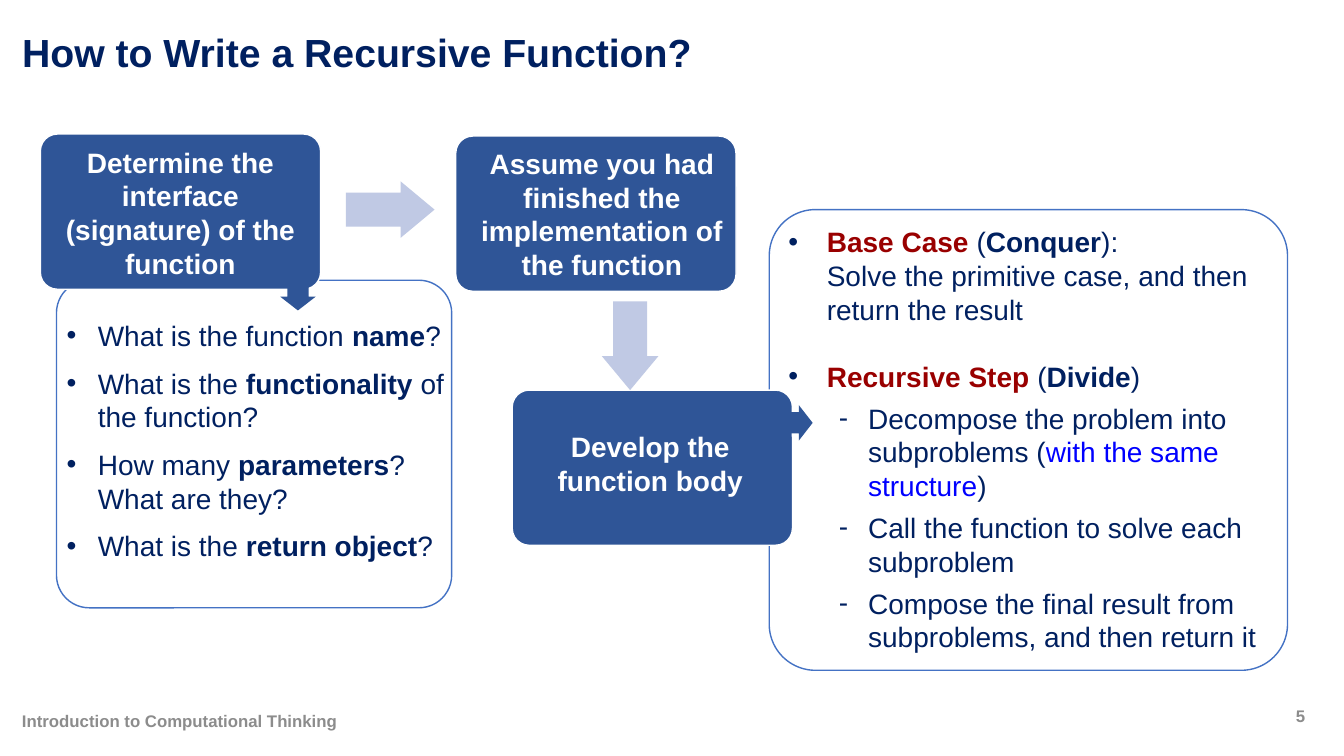
"""Build the slide on how to write a recursive function."""
from lxml.etree import SubElement
from pptx import Presentation
from pptx.dml.color import RGBColor
from pptx.enum.shapes import MSO_SHAPE as Preset
from pptx.enum.text import MSO_ANCHOR as Anchor, MSO_AUTO_SIZE as AutoSize, PP_ALIGN as Align
from pptx.oxml.ns import qn
from pptx.util import Inches, Pt

NAVY, RED, BLUE, WHITE, GRAY = "002060", "990000", "0000FF", "FFFFFF", "8C8C8C"
BOX, PANEL_LINE, PALE = "2F5597", "4472C4", "C0C9E4"
BOX_WIDTH, BOX_HEIGHT = 2.78, 1.54

QUESTIONS = [
    [("What is the function ",), ("name", True), ("?",)],
    [("What is the ",), ("functionality", True), (" of the function?",)],
    [("How many ",), ("parameters", True), ("? What are they?",)],
    [("What is the ",), ("return object", True), ("?",)],
]
BASE_CASE = [("Base Case ", True, RED), ("(",), ("Conquer", True),
             ("): \nSolve the primitive case, and then return the result",)]
RECURSIVE_STEP = [("Recursive Step ", True, RED), ("(",), ("Divide", True), (")",)]
SUBSTEPS = [
    [("Decompose the problem into subproblems (",),
     ("with the same structure", False, BLUE), (")",)],
    [("Call the function to solve each subproblem",)],
    [("Compose the final result from subproblems, and then return it",)],
]


def color(value):
    """Turn a hex string into a colour."""
    return RGBColor.from_string(value)


def style_font(font, size, value, bold=True):
    """Set face, size, colour and weight of a font."""
    font.name, font.size, font.bold = "Arial", Pt(size), bold
    font.color.rgb = color(value)


def place(shape, left, top, width, height):
    """Move and size a shape, in inches."""
    shape.left, shape.top = Inches(left), Inches(top)
    shape.width, shape.height = Inches(width), Inches(height)


def add_preset(slide, preset, area, fill, line=None, adjustments=()):
    """Add a preset shape with a flat fill and an optional outline."""
    shape = slide.shapes.add_shape(preset, *map(Inches, area))
    shape.shadow.inherit = False
    shape.fill.solid()
    shape.fill.fore_color.rgb = color(fill)
    if line:
        shape.line.color.rgb = color(line)
        shape.line.width = Pt(1)
    else:
        shape.line.fill.background()
    for index, value in enumerate(adjustments):
        shape.adjustments[index] = value
    return shape


def add_panel(slide, area):
    """Add an outlined, slightly transparent panel."""
    panel = add_preset(slide, Preset.ROUNDED_RECTANGLE, area, WHITE, PANEL_LINE, [0.1])
    fill_color = panel._element.spPr.find(qn("a:solidFill"))[0]
    SubElement(fill_color, qn("a:alpha"), val="90000")


def add_step(slide, left, top, text, margins):
    """Add a step box; margins are left, right and bottom."""
    area = (left, top, BOX_WIDTH, BOX_HEIGHT)
    box = add_preset(slide, Preset.ROUNDED_RECTANGLE, area, BOX, WHITE, [0.11])
    frame = box.text_frame
    frame.word_wrap, frame.vertical_anchor = True, Anchor.MIDDLE
    frame.margin_left, frame.margin_right, frame.margin_bottom = map(Inches, margins)
    set_line(frame, text, 20, WHITE, Align.CENTER)


def set_line(frame, text, size, value, align=Align.LEFT):
    """Fill a text frame with one bold paragraph."""
    frame.text = text
    paragraph = frame.paragraphs[0]
    paragraph.alignment = align
    style_font(paragraph.runs[0].font, size, value)


def add_label(slide, area, text, align):
    """Add a small grey label of the footer."""
    frame = slide.shapes.add_textbox(*map(Inches, area)).text_frame
    frame.word_wrap, frame.vertical_anchor = True, Anchor.MIDDLE
    set_line(frame, text, 12, GRAY, align)


def add_runs(paragraph, runs):
    """Add runs of text, optional weight and optional colour."""
    for text, bold, value in ((*run, False, NAVY)[:1] + (run[1:] + (False, NAVY)[len(run) - 1:])
                              for run in runs):
        for index, part in enumerate(text.split("\n")):
            if index:
                paragraph.add_line_break()
            run = paragraph.add_run()
            run.text = part
            style_font(run.font, 20, value, bold)


def set_bullet(paragraph, character, left, hanging):
    """Give a paragraph a bullet and a hanging indent."""
    properties = paragraph._p.get_or_add_pPr()
    properties.set("marL", str(Inches(left)))
    properties.set("indent", str(-Inches(hanging)))
    bullet_color = SubElement(properties, qn("a:buClr"))
    SubElement(bullet_color, qn("a:srgbClr"), val=NAVY)
    SubElement(properties, qn("a:buFont"), typeface="Arial")
    SubElement(properties, qn("a:buChar"), char=character)


def fill_list(placeholder, area, items):
    """Fill a body placeholder with (runs, level, indents, space after) items."""
    place(placeholder, *area)
    frame = placeholder.text_frame
    frame.word_wrap, frame.auto_size = True, AutoSize.NONE
    frame.vertical_anchor = Anchor.TOP
    for index, (runs, level, indents, space) in enumerate(items):
        paragraph = frame.add_paragraph() if index else frame.paragraphs[0]
        paragraph.level = level
        paragraph.alignment = Align.LEFT
        paragraph.space_before, paragraph.space_after = Pt(0), Pt(space)
        set_bullet(paragraph, "•-"[level], *indents)
        add_runs(paragraph, runs)


def main():
    """Build and save the slide."""
    presentation = Presentation()
    presentation.slide_width, presentation.slide_height = Inches(13.33), Inches(7.5)
    slide = presentation.slides.add_slide(presentation.slide_layouts[3])
    title, questions, body_parts = slide.placeholders

    place(title, 0.12, 0.17, 12.7, 0.68)
    title.text_frame.vertical_anchor = Anchor.MIDDLE
    set_line(title.text_frame, "How to Write a Recursive Function?", 28, NAVY)

    add_panel(slide, (7.63, 2.08, 5.14, 4.57))
    add_panel(slide, (0.56, 2.78, 3.92, 3.25))
    add_step(slide, 0.4, 1.33, "Determine the interface (signature) of the function",
             (0.04, 0.04, 0.03))
    add_step(slide, 4.52, 1.35, "Assume you had finished the implementation of the function",
             (0.17, 0.05, 0.05))
    add_step(slide, 5.08, 3.87, "Develop the function body", (0.34, 0.38, 0.14))

    for placeholder in (questions, body_parts):
        slide.shapes._spTree.append(placeholder._element)
    fill_list(questions, (0.56, 3.11, 4.02, 2.54),
              [(runs, 0, (0.31, 0.31), 10) for runs in QUESTIONS])
    fill_list(body_parts, (7.72, 2.18, 5.05, 4.39),
              [(BASE_CASE, 0, (0.38, 0.38), 24), (RECURSIVE_STEP, 0, (0.38, 0.38), 6)]
              + [(runs, 1, (0.79, 0.29), 6) for runs in SUBSTEPS])

    for preset, area, fill, head in (
        (Preset.RIGHT_ARROW, (3.43, 1.8, 0.88, 0.56), PALE, 0.6),
        (Preset.DOWN_ARROW, (5.97, 2.99, 0.56, 0.88), PALE, 0.6),
        (Preset.DOWN_ARROW, (2.78, 2.74, 0.35, 0.34), BOX, 0.4),
        (Preset.RIGHT_ARROW, (7.72, 4.02, 0.34, 0.35), BOX, 0.4),
    ):
        add_preset(slide, preset, area, fill, adjustments=(0.6, head))

    add_label(slide, (0.12, 6.95, 8.24, 0.4), "Introduction to Computational Thinking", Align.LEFT)
    add_label(slide, (12.66, 6.9, 0.48, 0.4), "5", Align.CENTER)
    presentation.save("out.pptx")


if __name__ == "__main__":
    main()
